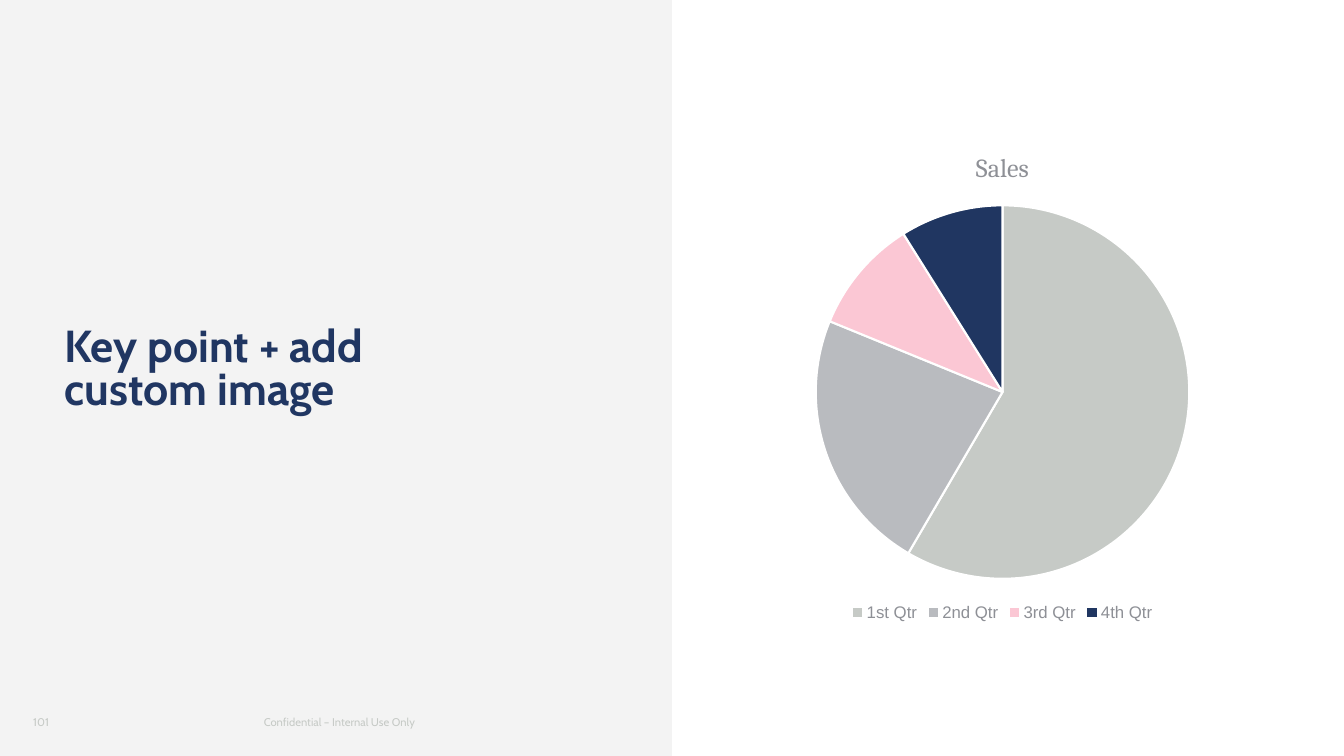
"""Build a key-point slide with a quarterly sales pie chart."""
from pptx import Presentation
from pptx.chart.data import CategoryChartData
from pptx.dml.color import RGBColor
from pptx.enum.chart import XL_CHART_TYPE, XL_LEGEND_POSITION
from pptx.enum.shapes import MSO_SHAPE
from pptx.enum.text import MSO_ANCHOR, PP_ALIGN
from pptx.util import Pt

PIE, BOTTOM = XL_CHART_TYPE.PIE, XL_LEGEND_POSITION.BOTTOM
RECT, MIDDLE = MSO_SHAPE.RECTANGLE, MSO_ANCHOR.MIDDLE
LEFT, CENTER = PP_ALIGN.LEFT, PP_ALIGN.CENTER
COLORS = {"panel": "F3F3F3", "footer": "C6CAC6", "navy": "203662",
          "text": "54565B", "label": "8E9096", "white": "FFFFFF",
          "1st Qtr": "C6CAC6", "2nd Qtr": "B9BBBF",
          "3rd Qtr": "FBC7D4", "4th Qtr": "203661"}
SALES = {"1st Qtr": 59, "2nd Qtr": 23, "3rd Qtr": 10, "4th Qtr": 9}


def rgb(name):
    return RGBColor.from_string(COLORS[name])


def set_font(font, color, **formats):
    for name, value in formats.items():
        setattr(font, name, value)
    font.color.rgb = rgb(color)


prs = Presentation()
prs.slide_width, prs.slide_height = Pt(960), Pt(540)
s = prs.slides.add_slide(prs.slide_layouts[6])

panel = s.shapes.add_shape(RECT, 0, 0, Pt(480), Pt(540))
panel.shadow.inherit = False
panel.fill.solid()
panel.fill.fore_color.rgb = rgb("panel")
panel.line.fill.background()

footer_font = {"name": "Cabin", "size": Pt(8)}
title_font = {"name": "Cabin", "size": Pt(32), "bold": True}
texts = [
    ("Confidential – Internal Use Only", (134.6, 504, 216, 23), CENTER, 1, "footer", footer_font),
    ("101", (16.6, 504, 59, 23), LEFT, 1, "footer", footer_font),
    ("Key point + add \vcustom image", (38.9, 93.6, 400.3, 342.7), LEFT, 0.8, "navy", title_font),
]
for text, box, align, spacing, color, formats in texts:
    tf = s.shapes.add_textbox(*map(Pt, box)).text_frame
    tf.word_wrap = True
    tf.vertical_anchor = MIDDLE
    p = tf.paragraphs[0]
    p.text = text
    p.alignment = align
    p.line_spacing = spacing
    for r in p.runs:
        set_font(r.font, color, **formats)

data = CategoryChartData()
data.categories = list(SALES)
data.add_series("Sales", list(SALES.values()))
box = map(Pt, (527.8, 92.9, 376.6, 354.2))
chart = s.shapes.add_chart(PIE, *box, data).chart
set_font(chart.font, "text", name="Arial", size=Pt(10))

chart.has_title = True
tf = chart.chart_title.text_frame
tf.text = "Sales"
set_font(tf.paragraphs[0].runs[0].font, "label", name="Cambria", size=Pt(18.6), bold=False)
chart.chart_title.include_in_layout = False

chart.has_legend = True
chart.legend.position = BOTTOM
chart.legend.include_in_layout = False
set_font(chart.legend.font, "label", name="Arial", size=Pt(12))

plot = chart.plots[0]
plot.vary_by_categories = True
for i, quarter in enumerate(SALES):
    fmt = plot.series[0].points[i].format
    fmt.fill.solid()
    fmt.fill.fore_color.rgb = rgb(quarter)
    fmt.line.color.rgb = rgb("white")
    fmt.line.width = Pt(1.5)

prs.save("out.pptx")
